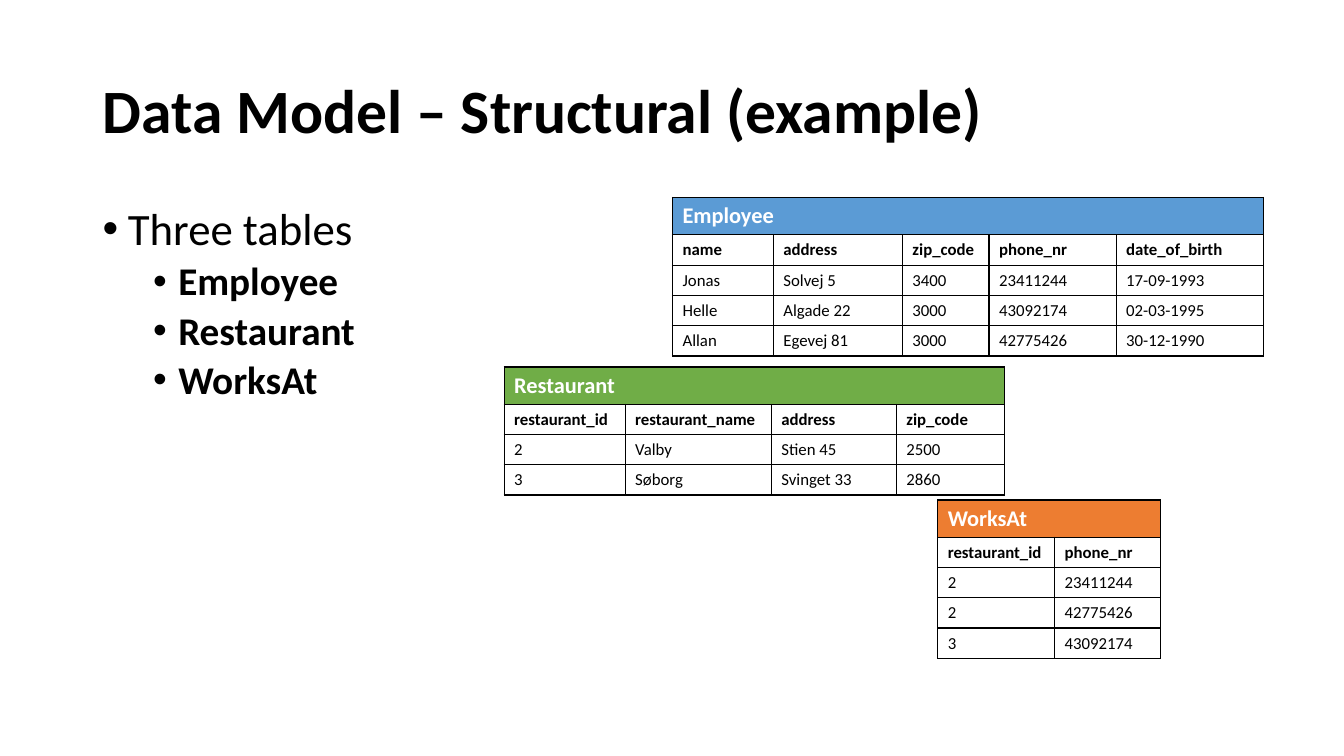
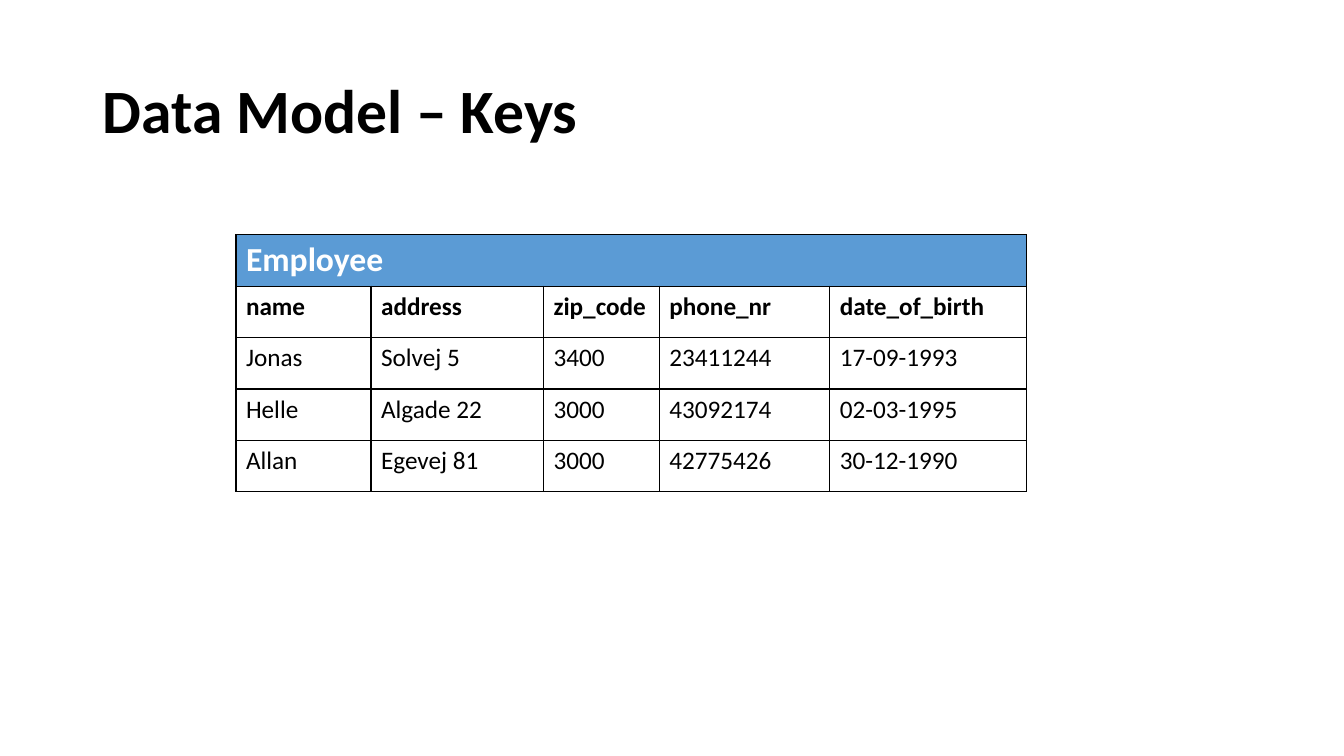
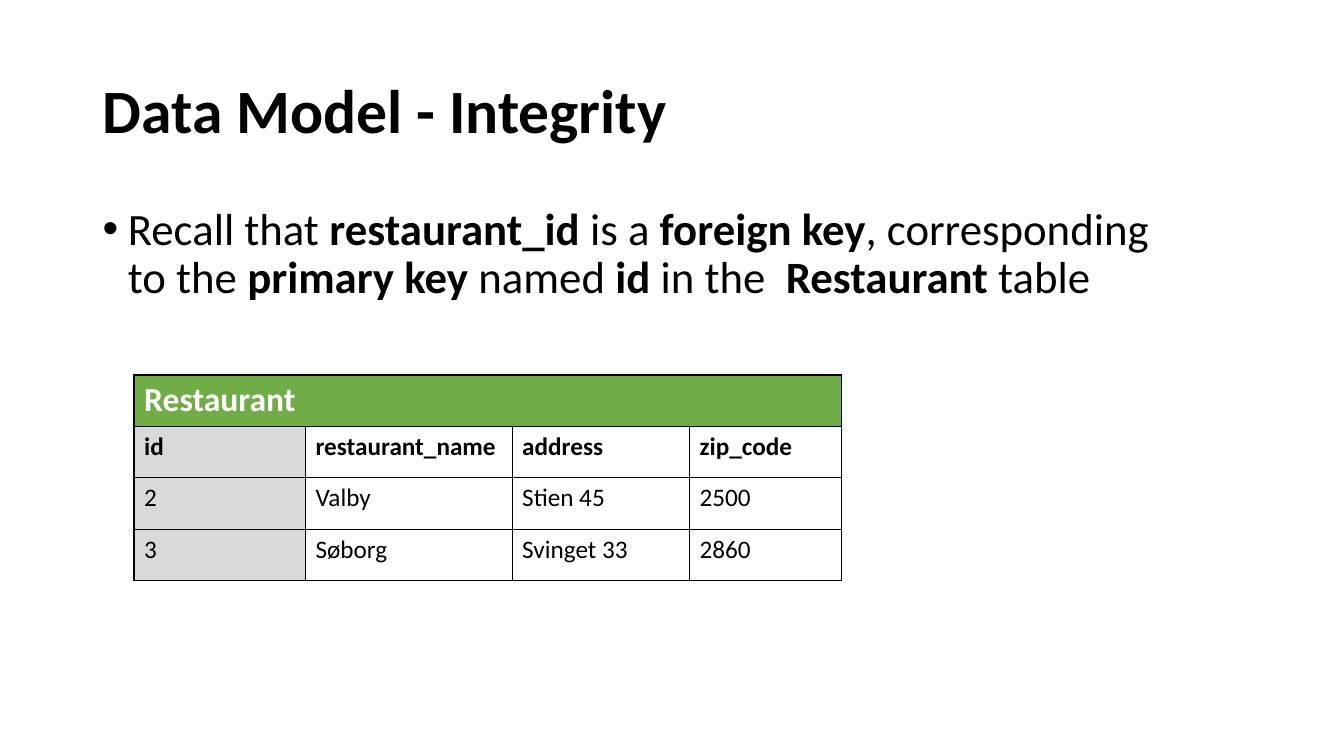
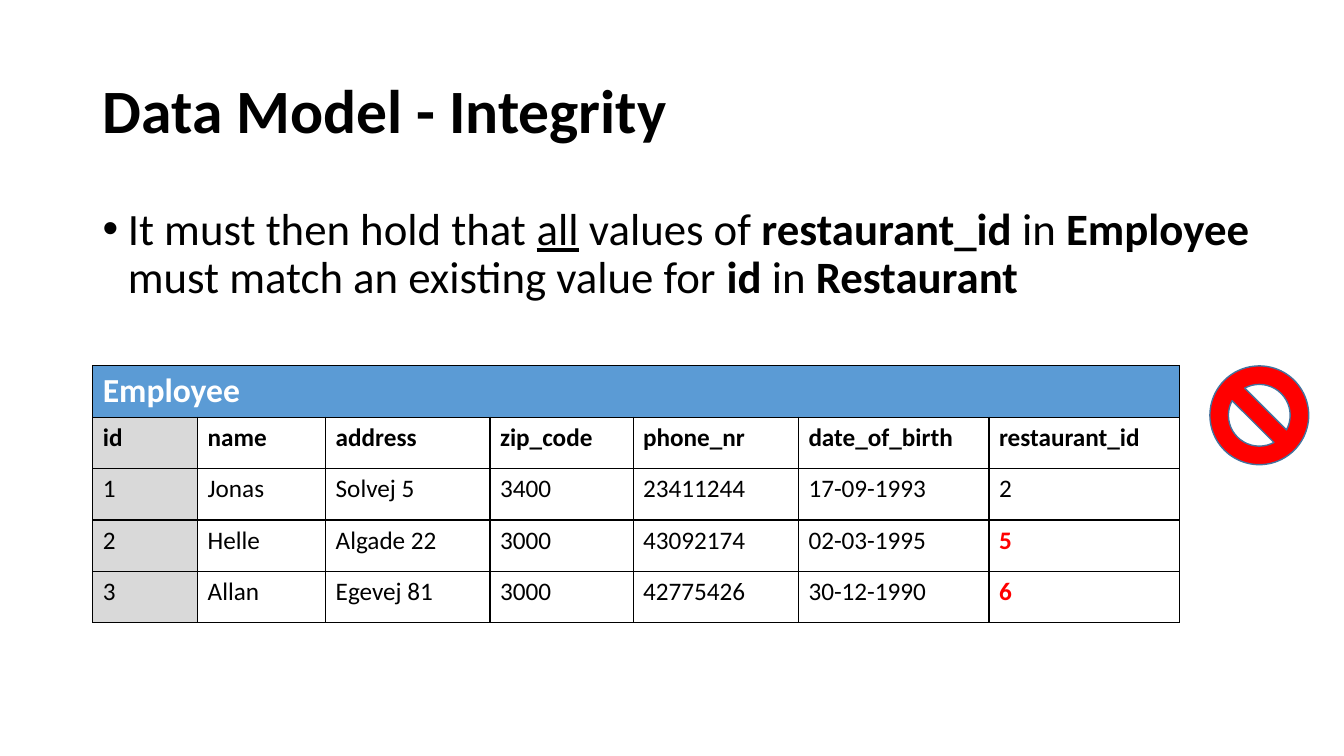
from dataclasses import dataclass
from typing import Any

from lxml.etree import SubElement
from pptx import Presentation
from pptx.dml.color import RGBColor
from pptx.enum.shapes import MSO_SHAPE
from pptx.enum.text import MSO_ANCHOR
from pptx.oxml.ns import qn
from pptx.slide import Slide
from pptx.util import Inches, Length, Pt


@dataclass(frozen=True)
class Theme:
    font: str = "Calibri"
    black: str = "000000"
    white: str = "FFFFFF"
    blue: str = "5B9BD5"
    green: str = "70AD47"
    orange: str = "ED7D31"
    key_gray: str = "D9D9D9"
    red: str = "FF0000"
    sign_line: str = "43739E"
    title: int = 44
    bullets: tuple[int, int] = (32, 28)


@dataclass(frozen=True)
class TableSize:
    caption: int
    text: int
    caption_height: float
    row_height: float


@dataclass(frozen=True)
class Run:
    text: str
    bold: bool = False
    underline: bool = False


@dataclass(frozen=True)
class Bullet:
    runs: tuple[Run, ...]
    level: int = 0


@dataclass(frozen=True)
class DataTable:
    caption: str
    color: str
    left: float
    top: float
    widths: tuple[float, ...]
    rows: tuple[tuple[str, ...], ...]
    size: TableSize
    key_column: bool = False
    wrong_keys: tuple[str, ...] = ()


THEME = Theme()
SMALL = TableSize(16, 12, 0.37, 0.3)
LARGE = TableSize(24, 18, 0.51, 0.51)

EMPLOYEES = (
    ("name", "address", "zip_code", "phone_nr", "date_of_birth"),
    ("Jonas", "Solvej 5", "3400", "23411244", "17-09-1993"),
    ("Helle", "Algade 22", "3000", "43092174", "02-03-1995"),
    ("Allan", "Egevej 81", "3000", "42775426", "30-12-1990"),
)
RESTAURANTS = (
    ("restaurant_id", "restaurant_name", "address", "zip_code"),
    ("2", "Valby", "Stien 45", "2500"),
    ("3", "Søborg", "Svinget 33", "2860"),
)
WORKS_AT = (
    ("restaurant_id", "phone_nr"),
    ("2", "23411244"),
    ("2", "42775426"),
    ("3", "43092174"),
)
KEYED_RESTAURANTS = (("id", *RESTAURANTS[0][1:]), *RESTAURANTS[1:])
KEYED_EMPLOYEES = tuple(
    (key, *row, restaurant)
    for key, row, restaurant in zip(
        ("id", "1", "2", "3"), EMPLOYEES, ("restaurant_id", "2", "5", "6")
    )
)


def rgb(color: str) -> RGBColor:
    return RGBColor.from_string(color)


def set_all(obj: Any, values: dict[str, Any]) -> None:
    for name, value in values.items():
        setattr(obj, name, value)


def add_run(p: Any, run: Run, size: int, color: str = THEME.black) -> None:
    r = p.add_run()
    r.text = run.text
    set_all(r.font, {
        "name": THEME.font,
        "size": Pt(size),
        "bold": run.bold,
        "underline": run.underline,
    })
    r.font.color.rgb = rgb(color)


def add_box(s: Slide, top: float, width: float, height: float) -> Any:
    sp = s.shapes.add_textbox(
        Inches(0.92), Inches(top), Inches(width), Inches(height)
    )
    sp.text_frame.word_wrap = True
    return sp.text_frame


def add_titled_slide(prs: Any, title: str) -> Slide:
    s = prs.slides.add_slide(prs.slide_layouts[6])
    tf = add_box(s, 0.4, 11.5, 1.45)
    tf.vertical_anchor = MSO_ANCHOR.MIDDLE
    p = tf.paragraphs[0]
    p.line_spacing = 0.9
    add_run(p, Run(title, bold=True), THEME.title)
    return s


def add_bullets(
    s: Slide, width: float, height: float, bullets: tuple[Bullet, ...]
) -> None:
    tf = add_box(s, 2, width, height)
    for i, bullet in enumerate(bullets):
        p = tf.add_paragraph() if i else tf.paragraphs[0]
        set_all(p, {
            "level": bullet.level,
            "line_spacing": 0.9,
            "space_before": Pt(5 if i else 0),
        })
        pPr = p._p.get_or_add_pPr()
        pPr.set("marL", str(Inches(0.25 + 0.5 * bullet.level)))
        pPr.set("indent", str(Inches(-0.25)))
        SubElement(pPr, qn("a:buFont"), typeface="Arial")
        SubElement(pPr, qn("a:buChar"), char="•")
        for run in bullet.runs:
            add_run(p, run, THEME.bullets[bullet.level])


def add_borders(cell: Any, width: Length = Pt(1)) -> None:
    tcPr = cell._tc.get_or_add_tcPr()
    for i, side in enumerate(("a:lnL", "a:lnR", "a:lnT", "a:lnB")):
        ln = SubElement(tcPr, qn(side), w=str(width))
        fill = SubElement(ln, qn("a:solidFill"))
        SubElement(fill, qn("a:srgbClr"), val=THEME.black)
        tcPr.remove(ln)
        tcPr.insert(i, ln)


def fill_cell(cell: Any, color: str | None) -> None:
    if color is None:
        cell.fill.background()
    else:
        cell.fill.solid()
        cell.fill.fore_color.rgb = rgb(color)
    add_borders(cell)


def add_data_table(s: Slide, spec: DataTable) -> None:
    size = spec.size
    heights = (size.caption_height, *(size.row_height for _ in spec.rows))
    table = s.shapes.add_table(
        len(heights), len(spec.widths), Inches(spec.left), Inches(spec.top),
        Inches(sum(spec.widths)), Inches(sum(heights)),
    ).table
    set_all(table, {"first_row": False, "horz_banding": False})
    for column, width in zip(table.columns, spec.widths):
        column.width = Inches(width)
    for row, height in zip(table.rows, heights):
        row.height = Inches(height)

    caption = table.cell(0, 0)
    caption.merge(table.cell(0, len(spec.widths) - 1))
    for cell in table.rows[0].cells:
        fill_cell(cell, spec.color)
    add_run(
        caption.text_frame.paragraphs[0], Run(spec.caption, bold=True),
        size.caption, THEME.white,
    )

    for i, row in enumerate(spec.rows):
        for j, text in enumerate(row):
            cell = table.cell(i + 1, j)
            is_key = spec.key_column and j == 0
            fill_cell(cell, THEME.key_gray if is_key else None)
            wrong = j == len(row) - 1 and text in spec.wrong_keys
            add_run(
                cell.text_frame.paragraphs[0],
                Run(text, bold=i == 0 or wrong),
                size.text, THEME.red if wrong else THEME.black,
            )


def add_forbidden_sign(s: Slide) -> None:
    sp = s.shapes.add_shape(
        MSO_SHAPE.NO_SYMBOL,
        Inches(12), Inches(3.63), Inches(0.98), Inches(0.98),
    )
    sp.shadow.inherit = False
    sp.fill.solid()
    sp.fill.fore_color.rgb = rgb(THEME.red)
    sp.line.color.rgb = rgb(THEME.sign_line)
    sp.line.width = Pt(1)


def add_structure_slide(prs: Any) -> None:
    s = add_titled_slide(prs, "Data Model – Structural (example)")
    names = ("Employee", "Restaurant", "WorksAt")
    add_bullets(s, 2.84, 4.76, (
        Bullet((Run("Three tables"),)),
        *(Bullet((Run(name, bold=True),), level=1) for name in names),
    ))
    for spec in (
        DataTable("Employee", THEME.blue, 6.67, 1.96,
                  (1, 1.28, 0.86, 1.26, 1.46), EMPLOYEES, SMALL),
        DataTable("Restaurant", THEME.green, 5, 3.64,
                  (1.2, 1.45, 1.24, 1.07), RESTAURANTS, SMALL),
        DataTable("WorksAt", THEME.orange, 9.3, 4.96,
                  (1.16, 1.05), WORKS_AT, SMALL),
    ):
        add_data_table(s, spec)


def add_keys_slide(prs: Any) -> None:
    s = add_titled_slide(prs, "Data Model – Keys")
    add_data_table(s, DataTable(
        "Employee", THEME.blue, 2.34, 2.33,
        (1.34, 1.71, 1.15, 1.69, 1.95), EMPLOYEES, LARGE,
    ))


def add_foreign_key_slide(prs: Any) -> None:
    s = add_titled_slide(prs, "Data Model - Integrity")
    add_bullets(s, 11.04, 1.33, (Bullet((
        Run("Recall that "),
        Run("restaurant_id ", bold=True),
        Run("is a "),
        Run("foreign key", bold=True),
        Run(", corresponding to the "),
        Run("primary key ", bold=True),
        Run("named"),
        Run(" id ", bold=True),
        Run("in the  "),
        Run("Restaurant", bold=True),
        Run(" table"),
    )),))
    add_data_table(s, DataTable(
        "Restaurant", THEME.green, 1.33, 3.72,
        (1.7, 2.05, 1.76, 1.51), KEYED_RESTAURANTS, LARGE, key_column=True,
    ))


def add_violation_slide(prs: Any) -> None:
    s = add_titled_slide(prs, "Data Model - Integrity")
    add_forbidden_sign(s)
    add_bullets(s, 11.74, 1.33, (Bullet((
        Run("It must then hold that "),
        Run("all", underline=True),
        Run(" values of "),
        Run("restaurant_id", bold=True),
        Run(" in "),
        Run("Employee", bold=True),
        Run(" must match an existing value for "),
        Run("id", bold=True),
        Run(" in "),
        Run("Restaurant", bold=True),
    )),))
    add_data_table(s, DataTable(
        "Employee", THEME.blue, 0.92, 3.63,
        (1.04, 1.27, 1.63, 1.42, 1.64, 1.89, 1.89), KEYED_EMPLOYEES, LARGE,
        key_column=True, wrong_keys=("5", "6"),
    ))


def main() -> None:
    prs = Presentation()
    set_all(prs, {"slide_width": Inches(13.33), "slide_height": Inches(7.5)})
    add_structure_slide(prs)
    add_keys_slide(prs)
    add_foreign_key_slide(prs)
    add_violation_slide(prs)
    prs.save("out.pptx")


if __name__ == "__main__":
    main()
